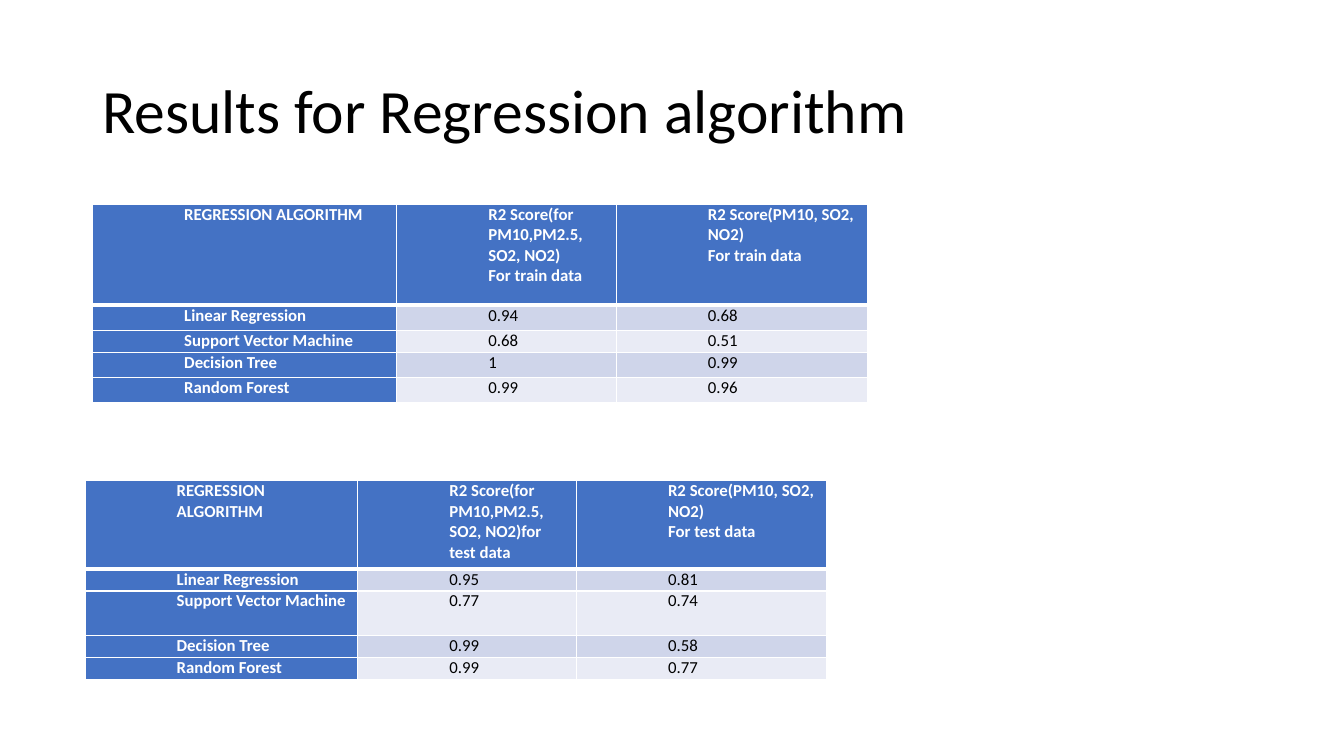
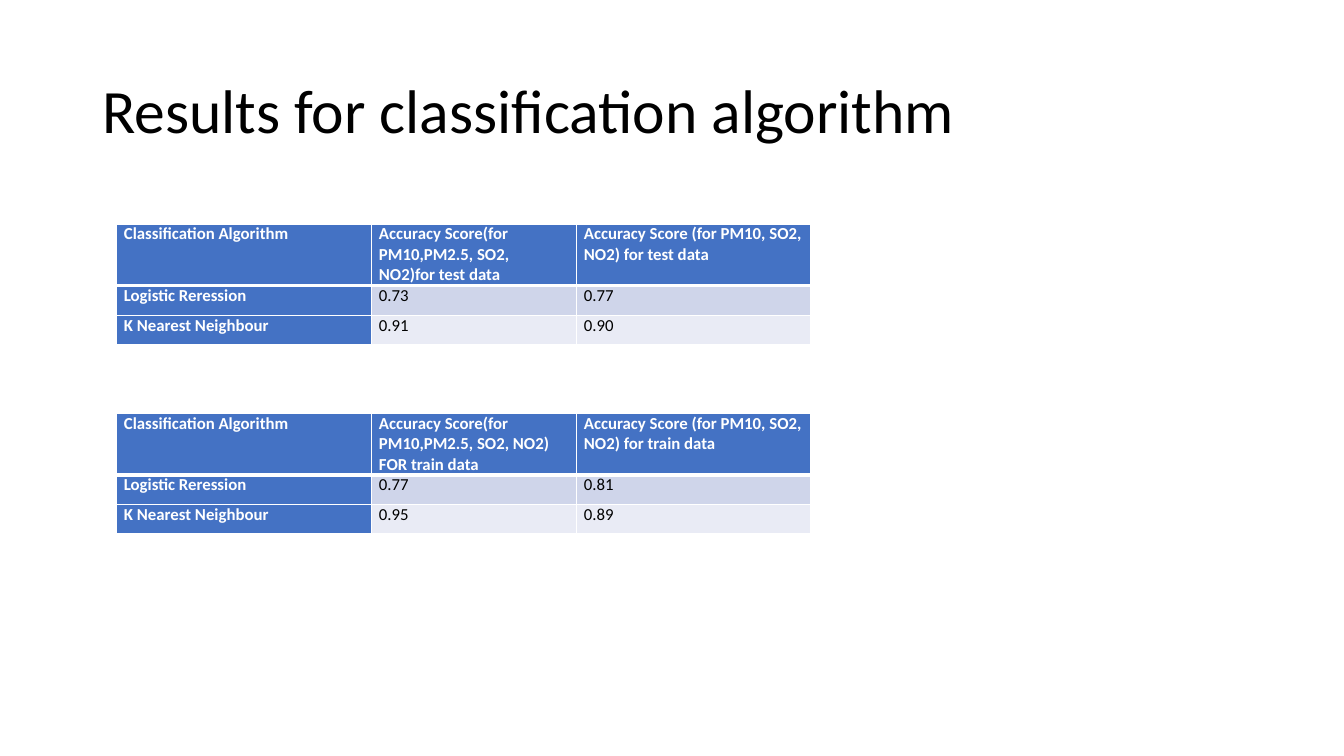
from pptx import Presentation
from pptx.dml.color import RGBColor
from pptx.enum.text import MSO_ANCHOR
from pptx.oxml.ns import qn
from pptx.util import Pt
from lxml.etree import SubElement

FONT = "Calibri"
WHITE, BLACK, BLUE = "FFFFFF", "000000", "4472C4"
BANDS = ["CFD5EA", "E9EBF5"]


def color(value):
    return RGBColor.from_string(value)


def add_border(cell, side, width):
    properties = cell._tc.get_or_add_tcPr()
    line = SubElement(properties, qn(f"a:ln{side}"), w=str(Pt(width)))
    fill = SubElement(line, qn("a:solidFill"))
    SubElement(fill, qn("a:srgbClr"), val=WHITE)


regression_columns = [
    "REGRESSION ALGORITHM",
    "R2 Score(for PM10,PM2.5, SO2, NO2)",
    "R2 Score(PM10, SO2, NO2)",
]
regression_train = [
    [regression_columns[0]] + [f"{name}\nFor train data" for name in regression_columns[1:]],
    ["Linear Regression", "0.94", "0.68"],
    ["Support Vector Machine", "0.68", "0.51"],
    ["Decision Tree", "1", "0.99"],
    ["Random Forest", "0.99", "0.96"],
]
regression_test = [
    [
        regression_columns[0],
        f"{regression_columns[1]}for test data",
        f"{regression_columns[2]}\nFor test data",
    ],
    ["Linear Regression", "0.95", "0.81"],
    ["Support Vector Machine", "0.77", "0.74"],
    ["Decision Tree", "0.99", "0.58"],
    ["Random Forest", "0.99", "0.77"],
]
classification_test = [
    [
        "Classification Algorithm",
        "Accuracy Score(for PM10,PM2.5, SO2, NO2)for test data",
        "Accuracy Score (for PM10, SO2, NO2) for test data",
    ],
    ["Logistic Reression", "0.73", "0.77"],
    ["K Nearest Neighbour", "0.91", "0.90"],
]
classification_train = [
    [
        "Classification Algorithm",
        "Accuracy Score(for PM10,PM2.5, SO2, NO2) FOR train data",
        "Accuracy Score (for PM10, SO2, NO2) for train data",
    ],
    ["Logistic Reression", "0.77", "0.81"],
    ["K Nearest Neighbour", "0.95", "0.89"],
]

classification_widths = [182.2, 146.4, 167.2]
classification_heights = [44, 21.2, 20.8]
slides = [
    ("Results for Regression algorithm", 60, [
        (66.2, 146, [217.3, 156.8, 179.3], [72, 18, 15.8, 18, 18], regression_train),
        (60.8, 343.4, [194.8, 156.2, 178.6], [63.2, 15.6, 31.8, 15.8, 15.8], regression_test),
    ]),
    ("Results for classification algorithm", 0, [
        (83.1, 160, classification_widths, classification_heights, classification_test),
        (83.1, 295.2, classification_widths, classification_heights, classification_train),
    ]),
]

presentation = Presentation()
presentation.slide_width, presentation.slide_height = Pt(960), Pt(540)

for title, indent, tables in slides:
    slide = presentation.slides.add_slide(presentation.slide_layouts[6])
    title_box = slide.shapes.add_textbox(Pt(66), Pt(28.8), Pt(828), Pt(104.4))
    title_box.text_frame.word_wrap = True
    title_box.text_frame.vertical_anchor = MSO_ANCHOR.MIDDLE
    paragraph = title_box.text_frame.paragraphs[0]
    paragraph.text = title
    paragraph.line_spacing = 0.9
    paragraph.font.name = FONT
    paragraph.font.size = Pt(44)
    paragraph.font.color.rgb = color(BLACK)

    for left, top, widths, heights, rows in tables:
        table = slide.shapes.add_table(
            len(rows), len(widths), Pt(left), Pt(top), Pt(sum(widths)), Pt(sum(heights))
        ).table
        table.first_col = True
        for column, width in zip(table.columns, widths):
            column.width = Pt(width)
        for row, height in zip(table.rows, heights):
            row.height = Pt(height)

        for row_index, values in enumerate(rows):
            for column_index, value in enumerate(values):
                cell = table.cell(row_index, column_index)
                heading = row_index == 0 or column_index == 0
                cell.margin_left = cell.margin_right = Pt(5.4)
                cell.margin_top = cell.margin_bottom = Pt(0)
                add_border(cell, "L", 1)
                add_border(cell, "R", 1)
                add_border(cell, "T", 3 if row_index == 1 else 1)
                add_border(cell, "B", 3 if row_index == 0 else 1)
                cell.fill.solid()
                cell.fill.fore_color.rgb = color(BLUE if heading else BANDS[(row_index - 1) % 2])
                cell.text = value
                for paragraph in cell.text_frame.paragraphs:
                    paragraph._p.get_or_add_pPr().set("marL", str(Pt(indent)))
                    paragraph.font.name = FONT
                    paragraph.font.size = Pt(12)
                    paragraph.font.bold = heading
                    paragraph.font.color.rgb = color(WHITE if heading else BLACK)

presentation.save("out.pptx")
